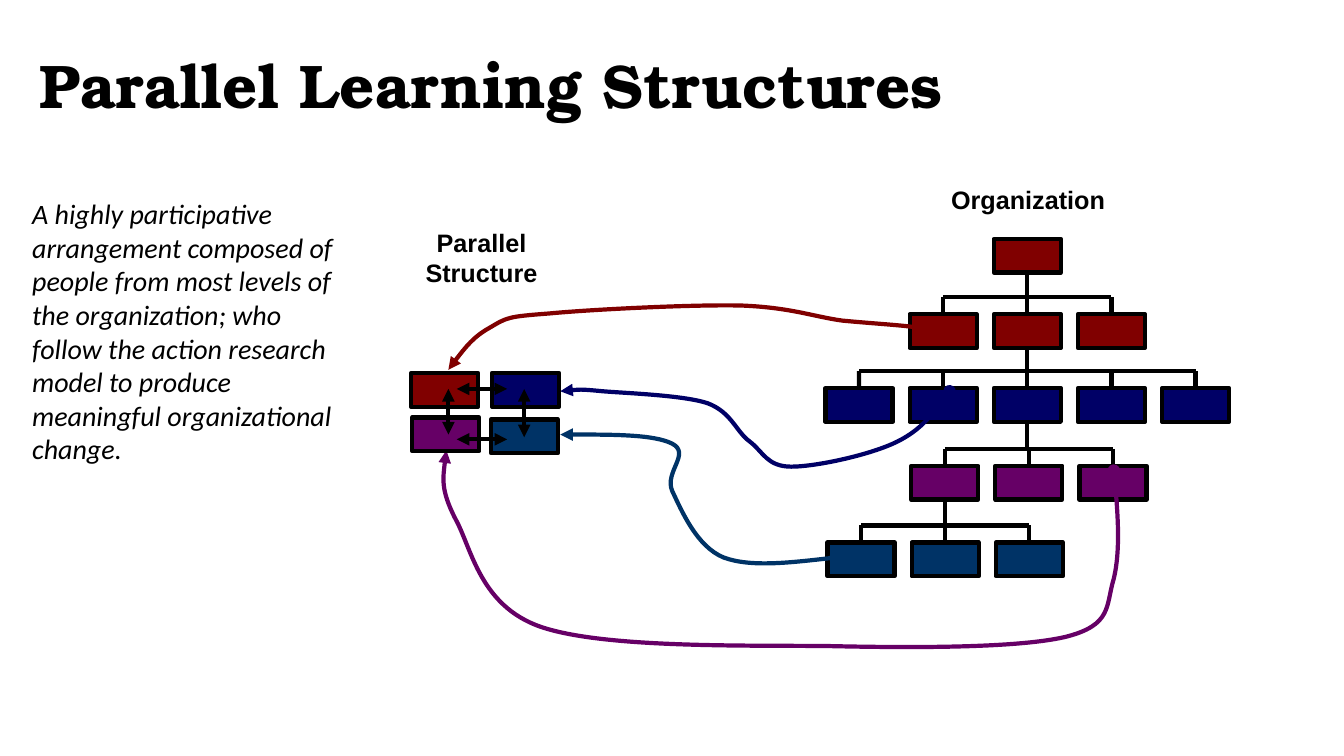
from dataclasses import dataclass
from lxml import etree
from pptx import Presentation
from pptx import util as u
from pptx.dml.color import RGBColor
from pptx.enum import shapes, text
from pptx.oxml.ns import qn

INK = {"black": "000000", "red": "800000", "navy": "000066",
       "plum": "660066", "teal": "003366"}
WIDE, HIGH = 1.69, 0.85   # box size, cm
STEP = 2.12               # from box to box in a row
DROP, STEM = 0.43, 1.07   # from a row's top up to its bus and to its parent


@dataclass
class Row:
    mid: float
    top: float
    count: int
    ink: str
    parent: int  # which box of the row above


@dataclass
class Curve:
    ink: str
    head: str
    tail: str
    pts: list[tuple[float, float]]  # start, then three points for each bend


@dataclass
class Label:
    box: tuple[float, float, float, float]
    lines: list[str]
    align: int
    wrap: bool
    font: dict


ROWS = [Row(25.89, 6.02, 1, "red", 0), Row(25.89, 7.92, 3, "red", 0),
        Row(25.89, 9.78, 5, "navy", 1), Row(25.93, 11.74, 3, "plum", 2),
        Row(23.82, 13.67, 3, "teal", 0)]

CURVES = [
    Curve("red", "triangle", "oval", [
        (11.3, 9.32), (11.61, 8.89), (11.94, 8.48), (12.34, 8.26),
        (12.78, 8), (12.78, 7.98), (13.84, 7.9),
        (14.88, 7.8), (17.48, 7.67), (18.69, 7.7),
        (19.94, 7.75), (20.5, 7.98), (21.23, 8.08),
        (21.97, 8.15), (22.81, 8.2), (23.14, 8.26)]),
    Curve("navy", "oval", "triangle", [
        (23.93, 9.86), (23.57, 10.34), (23.24, 10.82), (22.61, 11.13),
        (21.95, 11.46), (20.57, 11.76), (19.94, 11.76),
        (19.33, 11.76), (19.23, 11.38), (18.9, 11.13),
        (18.54, 10.87), (18.44, 10.39), (17.83, 10.16),
        (17.22, 9.96), (15.8, 9.91), (15.19, 9.86),
        (14.58, 9.8), (14.35, 9.83), (14.12, 9.86)]),
    Curve("plum", "oval", "triangle", [
        (28.07, 11.86), (28.17, 12.85), (28.24, 13.87), (28.07, 14.58),
        (27.86, 15.27), (28.04, 15.75), (26.85, 16.05),
        (25.65, 16.33), (23.06, 16.33), (20.85, 16.28),
        (18.64, 16.26), (15.21, 16.33), (13.64, 15.8),
        (12.09, 15.27), (11.89, 13.82), (11.48, 13.08),
        (11.1, 12.34), (11.18, 11.86), (11.25, 11.35)]),
    Curve("teal", "oval", "triangle", [
        (21.06, 14.05), (19.99, 14.17), (18.92, 14.3), (18.24, 14.05),
        (17.55, 13.77), (17.17, 12.85), (16.94, 12.37),
        (16.74, 11.89), (17.42, 11.43), (16.94, 11.18),
        (16.48, 10.95), (15.32, 10.95), (14.12, 10.95)])]

TEAM = [(10.36, 9.4, "red"), (12.4, 9.4, "navy"),
        (10.39, 10.52, "plum"), (12.37, 10.57, "teal")]
LINKS = [(11.51, 9.8, 12.78, 9.8), (11.51, 11.07, 12.78, 11.07),
         (13.21, 11.02, 13.21, 9.8), (11.3, 10.95, 11.3, 9.8)]

HEAD = {"name": "TeX Gyre Bonum", "size": u.Pt(44), "bold": True}
NAME = {"name": "Arial", "size": u.Pt(18), "bold": True}
BODY = {"name": "Calibri", "size": u.Pt(20), "italic": True}
LABELS = [
    Label((23.72, 4.52, 4.42, 1.02), ["Organization"],
          text.PP_ALIGN.LEFT, False, NAME),
    Label((10.46, 5.61, 3.35, 1.8), ["Parallel", "Structure"],
          text.PP_ALIGN.CENTER, False, NAME),
    Label((0.56, 4.83, 8.2, 7.09),
          ["A highly participative arrangement composed of people from most "
           "levels of the organization; who follow the action research model "
           "to produce meaningful organizational change."],
          text.PP_ALIGN.LEFT, True, BODY)]


def tint(ink: str) -> RGBColor:
    return RGBColor.from_string(INK[ink])


def style(font, form: dict) -> None:
    for key, val in form.items():
        setattr(font, key, val)
    font.color.rgb = tint("black")


def stroke(item, ink: str = "black", head: str = "", tail: str = "") -> None:
    item.line.color.rgb = tint(ink)
    item.line.width = u.Pt(3)
    for tag, kind in (("a:headEnd", head), ("a:tailEnd", tail)):
        if kind:
            etree.SubElement(item.line._ln, qn(tag), type=kind)


def add_box(slide, left: float, top: float, ink: str):
    box = slide.shapes.add_shape(shapes.MSO_SHAPE.RECTANGLE, u.Cm(left),
                                 u.Cm(top), u.Cm(WIDE), u.Cm(HIGH))
    box.shadow.inherit = False
    box.fill.solid()
    box.fill.fore_color.rgb = tint(ink)
    stroke(box)
    return box


def add_line(slide, x1: float, y1: float, x2: float, y2: float, end: str = ""):
    line = slide.shapes.add_connector(shapes.MSO_CONNECTOR.STRAIGHT, u.Cm(x1),
                                      u.Cm(y1), u.Cm(x2), u.Cm(y2))
    stroke(line, head=end, tail=end)
    etree.SubElement(line._element.spPr, qn("a:effectLst"))
    return line


def add_row(slide, row: Row, above: list) -> list:
    mids = [row.mid + (i - (row.count - 1) / 2) * STEP for i in range(row.count)]
    boxes = [add_box(slide, mid - WIDE / 2, row.top, row.ink) for mid in mids]
    if above:
        bus = row.top - DROP
        for mid, box in zip(mids, boxes):
            add_line(slide, mid, bus, mid, row.top).end_connect(box, 0)
        add_line(slide, mids[0], bus, mids[-1], bus)
        root = above[row.parent]
        hub = (root.left + root.width / 2) / u.Cm(1)
        add_line(slide, hub, row.top - STEM, hub, bus).begin_connect(root, 2)
    return boxes


def add_curve(slide, curve: Curve) -> None:
    first, *rest = [(u.Cm(x), u.Cm(y)) for x, y in curve.pts]
    pen = slide.shapes.build_freeform(*first)
    pen.add_line_segments(rest, close=False)
    form = pen.convert_to_shape()
    form.shadow.inherit = False
    form.fill.background()
    stroke(form, curve.ink, curve.head, curve.tail)
    # Each three line segments become one Bézier bend
    geom = next(form._element.iter(qn("a:path")))
    segs = geom.findall(qn("a:lnTo"))
    for i in range(0, len(segs), 3):
        bend = etree.SubElement(geom, qn("a:cubicBezTo"))
        for seg in segs[i:i + 3]:
            bend.append(seg[0])
            geom.remove(seg)


def add_label(slide, label: Label) -> None:
    frame = slide.shapes.add_textbox(*map(u.Cm, label.box)).text_frame
    frame.word_wrap = label.wrap
    frame.text = "\n".join(label.lines)
    for para in frame.paragraphs:
        para.alignment = label.align
        style(para.font, label.font)


def add_title(slide) -> None:
    title = slide.shapes.title
    spot = {"left": 0.74, "top": 0.38, "width": 29.21, "height": 3.68}
    for key, val in spot.items():
        setattr(title, key, u.Cm(val))
    frame = title.text_frame
    frame.text = "Parallel Learning Structures"
    frame.auto_size = text.MSO_AUTO_SIZE.NONE
    frame.vertical_anchor = text.MSO_ANCHOR.MIDDLE
    para = frame.paragraphs[0]
    para.alignment = text.PP_ALIGN.LEFT
    para.line_spacing = 0.9
    style(para.font, HEAD)


def main() -> None:
    deck = Presentation()
    deck.slide_width, deck.slide_height = u.Cm(33.87), u.Cm(19.05)
    slide = deck.slides.add_slide(deck.slide_layouts[5])
    add_title(slide)
    # Organization chart
    boxes = []
    for row in ROWS:
        boxes = add_row(slide, row, boxes)
    # Curves into the parallel structure, each under its box
    for curve, spot in zip(CURVES, TEAM):
        add_curve(slide, curve)
        add_box(slide, *spot)
    for link in LINKS:
        add_line(slide, *link, end="triangle")
    # Labels and body text
    for label in LABELS:
        add_label(slide, label)
    deck.save("out.pptx")


if __name__ == "__main__":
    main()
